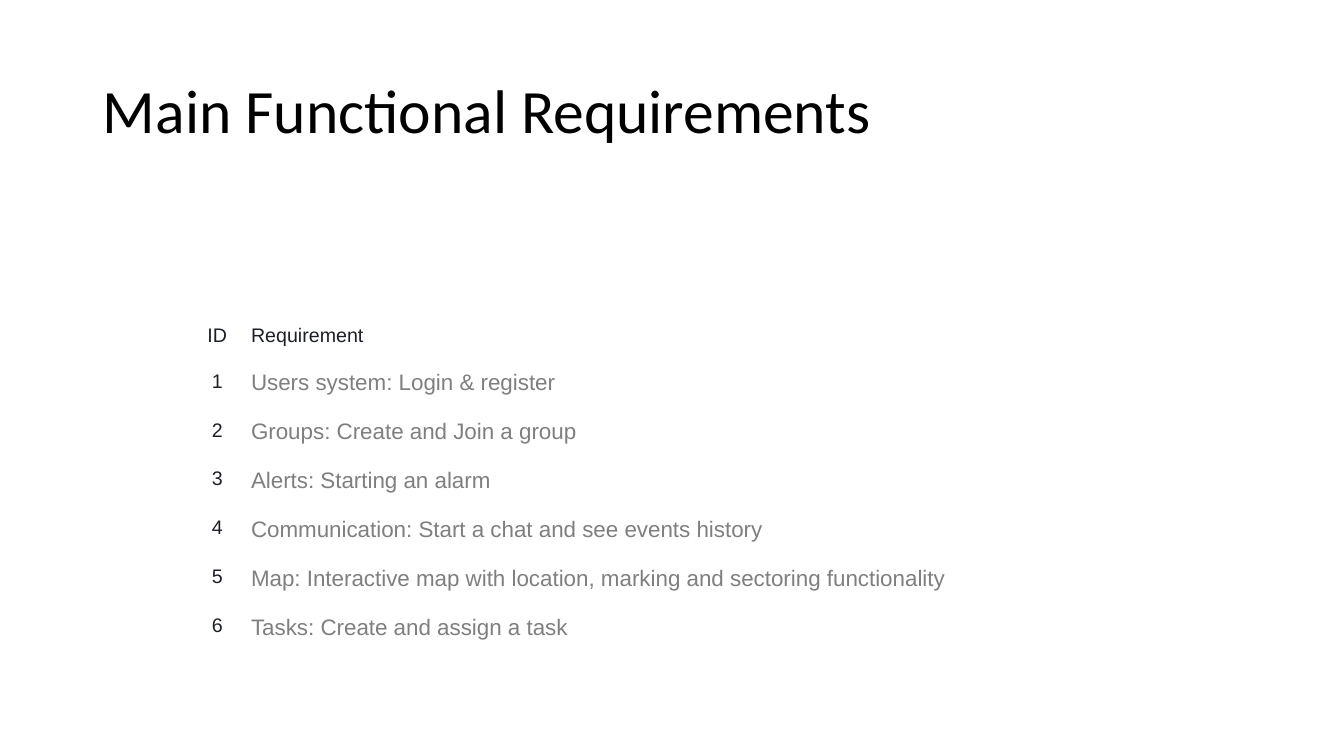
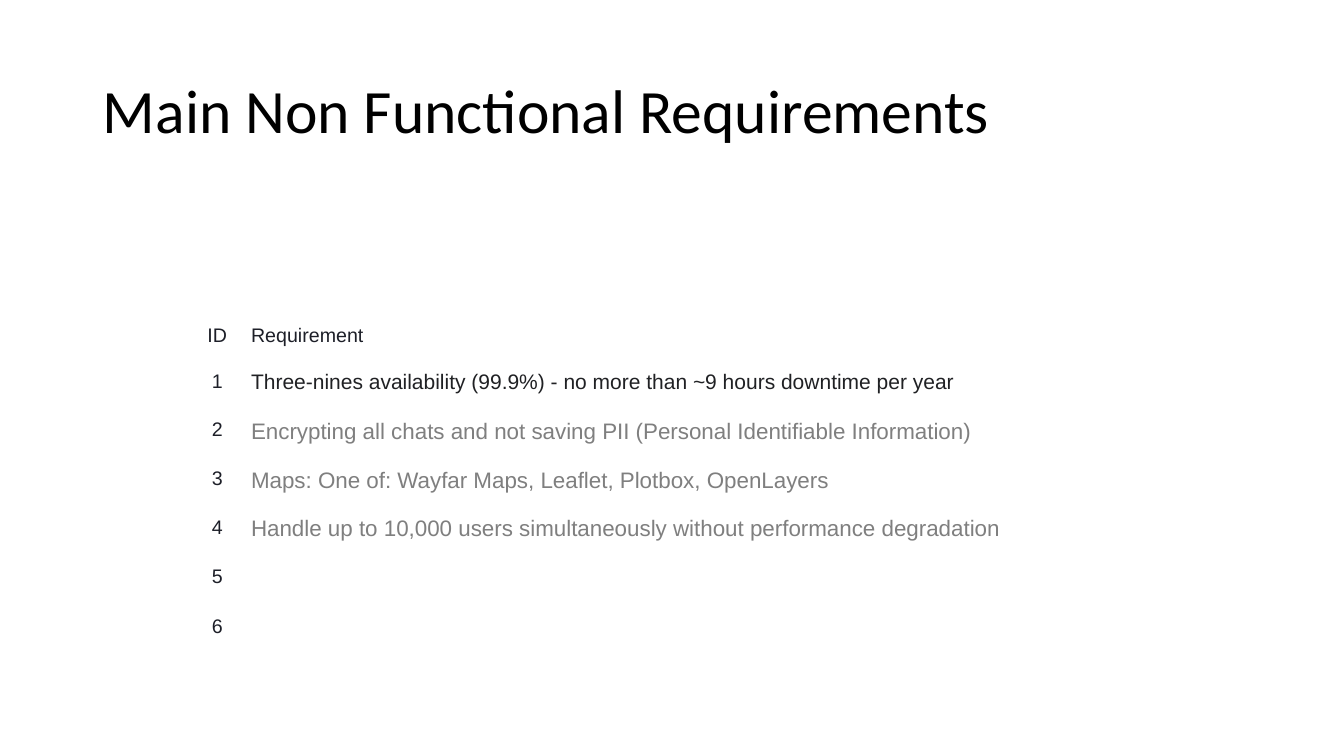
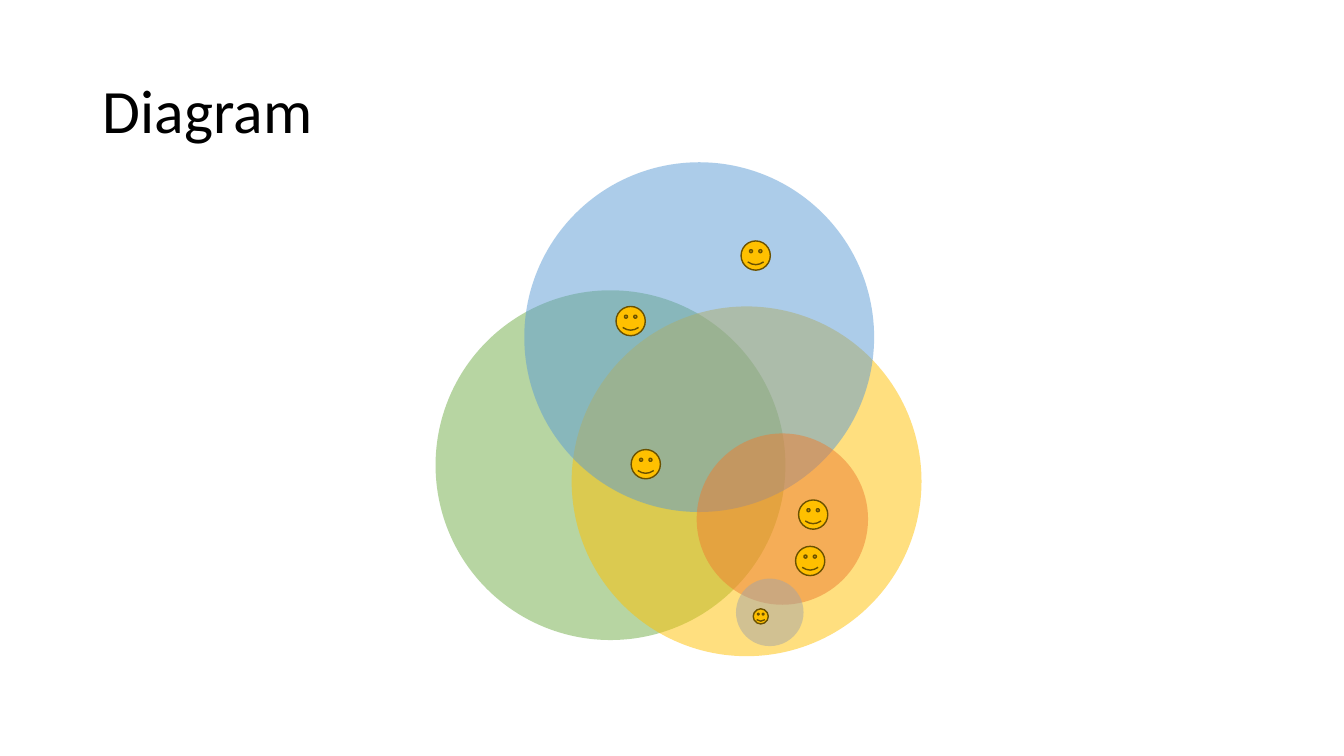
from pptx import Presentation
from pptx.dml.color import RGBColor
from pptx.enum.shapes import MSO_SHAPE as Shape
from pptx.enum.text import MSO_ANCHOR as Anchor, MSO_AUTO_SIZE as AutoSize, PP_ALIGN as Align
from pptx.oxml.ns import qn
from pptx.util import Inches, Pt
from lxml import etree

BLACK = RGBColor(0x00, 0x00, 0x00)
INK = RGBColor(0x1D, 0x1F, 0x28)
CHARCOAL = RGBColor(0x20, 0x21, 0x24)
GRAY = RGBColor(0x7F, 0x7F, 0x7F)
GREEN = RGBColor(0x70, 0xAD, 0x47)
GOLD = RGBColor(0xFF, 0xC0, 0x00)
BLUE = RGBColor(0x5B, 0x9B, 0xD5)
ORANGE = RGBColor(0xED, 0x7D, 0x31)
SILVER = RGBColor(0xA5, 0xA5, 0xA5)
BROWN = RGBColor(0x6B, 0x51, 0x00)

TITLE_FONT = "Calibri"
TABLE_FONT = "Arial"
TITLE_ONLY = 5
ROW_COUNT = 6

FUNCTIONAL = [
    "Users system: Login & register",
    "Groups: Create and Join a group",
    "Alerts: Starting an alarm",
    "Communication: Start a chat and see events history",
    "Map: Interactive map with location, marking and sectoring functionality",
    "Tasks: Create and assign a task",
]
NON_FUNCTIONAL = [
    "Three-nines availability (99.9%) - no more than ~9 hours downtime per year",
    "Encrypting all chats and not saving PII (Personal Identifiable Information)",
    "Maps: One of: Wayfar Maps, Leaflet, Plotbox, OpenLayers",
    "Handle up to 10,000 users simultaneously without performance degradation",
]

# left, top, diameter, colour
CIRCLES = [
    (4.32, 2.88, 3.47, GREEN),
    (5.67, 3.04, 3.47, GOLD),
    (5.2, 1.61, 3.47, BLUE),
    (6.91, 4.3, 1.7, ORANGE),
    (7.3, 5.74, 0.67, SILVER),
]
# left, top, diameter
SMILEYS = [
    (6.11, 3.04, 0.29),
    (6.26, 4.46, 0.29),
    (7.92, 4.96, 0.29),
    (7.89, 5.42, 0.29),
    (7.35, 2.39, 0.29),
    (7.47, 6.04, 0.15),
]


def write_text(frame, text, *, size, color, font=TABLE_FONT, align=Align.LEFT, spacing=1.15):
    para = frame.paragraphs[0]
    para.alignment = align
    para.line_spacing = spacing
    span = para.add_run()
    span.text = text
    span.font.name = font
    span.font.size = Pt(size)
    span.font.color.rgb = color


def add_titled_slide(deck, title):
    slide = deck.slides.add_slide(deck.slide_layouts[TITLE_ONLY])
    box = slide.shapes.title
    box.left, box.top = Inches(0.92), Inches(0.4)
    box.width, box.height = Inches(11.5), Inches(1.45)
    frame = box.text_frame
    frame.auto_size = AutoSize.NONE
    frame.word_wrap = True
    frame.vertical_anchor = Anchor.MIDDLE
    write_text(frame, title, size=44, color=BLACK, font=TITLE_FONT, spacing=0.9)
    return slide


def fill_cell(cell, text, **style):
    cell.fill.background()
    cell.margin_left = cell.margin_right = Inches(0.1)
    cell.margin_top = cell.margin_bottom = Inches(0.1)
    if text:
        write_text(cell.text_frame, text, **style)


def add_requirements(slide, requirements, highlighted=None):
    """Add the numbered table; the highlighted row is darker and smaller."""
    table = slide.shapes.add_table(
        ROW_COUNT + 1, 2, Inches(1.92), Inches(3.09), Inches(8.77), Inches(3.24)
    ).table
    table.first_row = table.horz_banding = False
    table.columns[0].width = Inches(0.47)
    table.columns[1].width = Inches(8.3)
    for number, row in enumerate(table.rows):
        row.height = Inches(0.48 if number else 0.36)
        text, style = "", dict(size=16, color=GRAY)
        if number == 0:
            text, style = "Requirement", dict(size=14, color=INK)
        elif number <= len(requirements):
            text = requirements[number - 1]
        if number == highlighted:
            style = dict(size=15, color=CHARCOAL)
        fill_cell(row.cells[0], str(number or "ID"), size=14, color=INK, align=Align.CENTER)
        fill_cell(row.cells[1], text, **style)


def add_round_shape(slide, kind, left, top, diameter, color):
    shape = slide.shapes.add_shape(
        kind, Inches(left), Inches(top), Inches(diameter), Inches(diameter)
    )
    shape.shadow.inherit = False
    shape.fill.solid()
    shape.fill.fore_color.rgb = color
    return shape


def add_circle(slide, left, top, diameter, color):
    """Add a half-transparent circle without an outline."""
    circle = add_round_shape(slide, Shape.OVAL, left, top, diameter, color)
    circle.line.fill.background()
    tint = circle.fill._xPr.find(qn("a:solidFill")).find(qn("a:srgbClr"))
    etree.SubElement(tint, qn("a:alpha")).set("val", "50000")


def add_smiley(slide, left, top, diameter):
    smiley = add_round_shape(slide, Shape.SMILEY_FACE, left, top, diameter, GOLD)
    smiley.line.color.rgb = BROWN
    smiley.line.width = Pt(1)


def main():
    deck = Presentation()
    deck.slide_width, deck.slide_height = Inches(13.33), Inches(7.5)

    add_requirements(add_titled_slide(deck, "Main Functional Requirements"), FUNCTIONAL)
    add_requirements(
        add_titled_slide(deck, "Main Non Functional Requirements"), NON_FUNCTIONAL, highlighted=1
    )

    diagram = add_titled_slide(deck, "Diagram")
    for circle in CIRCLES:
        add_circle(diagram, *circle)
    for smiley in SMILEYS:
        add_smiley(diagram, *smiley)

    deck.save("out.pptx")


if __name__ == "__main__":
    main()
